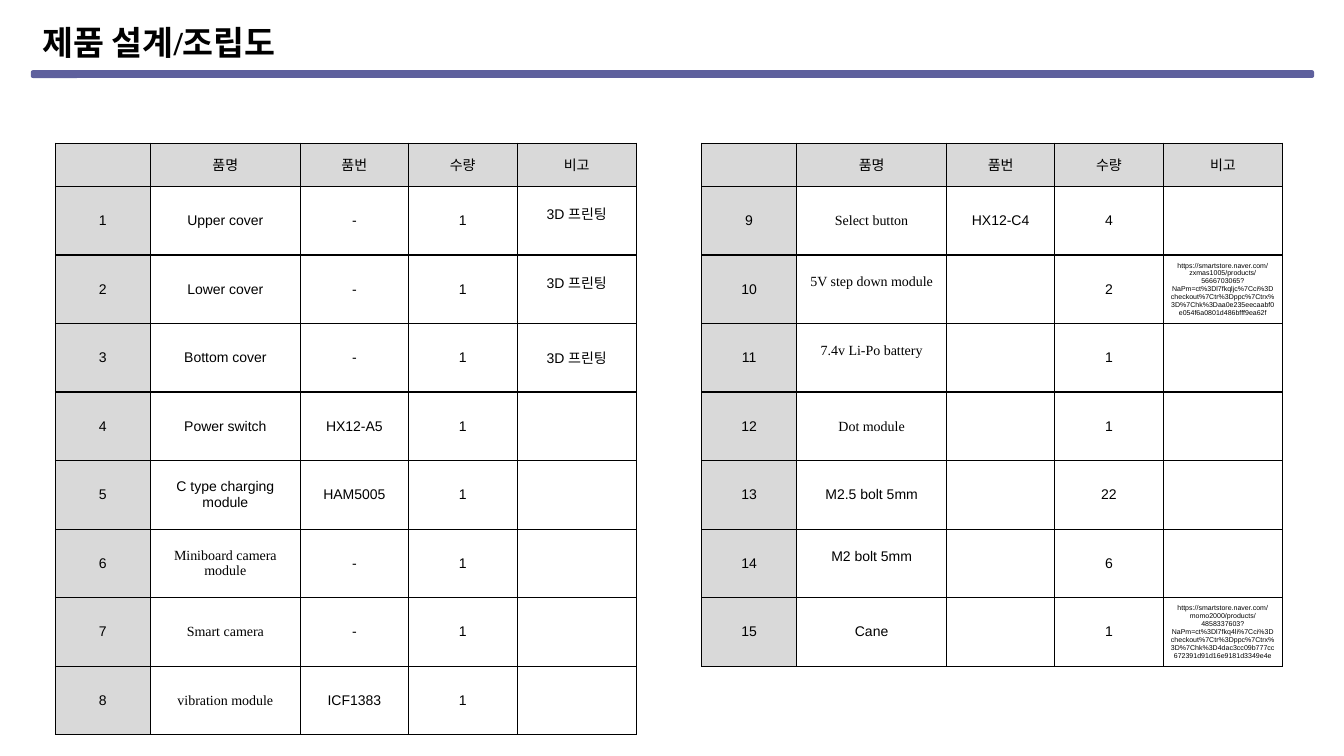
from lxml import etree
from pptx import Presentation
from pptx import util as u
from pptx.dml.color import RGBColor
from pptx.enum import shapes, text
from pptx.oxml import ns

BLACK = RGBColor(0x00, 0x00, 0x00)
GRAY = RGBColor(0xD9, 0xD9, 0xD9)
PURPLE = RGBColor(0x5E, 0x60, 0x9D)
SANS, SERIF = "Arial", "Times New Roman"

COLS = [0.94, 1.49, 1.07, 1.08, 1.18]
HEAD_H, ROW_H = 0.43, 0.68
HEAD = ["", "품명", "품번", "수량", "비고"]
PRINT = "3D 프린팅"
STORE = "https://smartstore.naver.com/"

LEFT = [
    ["1", "Upper cover", "-", "1", PRINT],
    ["2", "Lower cover", "-", "1", PRINT],
    ["3", "Bottom cover", "-", "1", PRINT],
    ["4", "Power switch", "HX12-A5", "1", ""],
    ["5", "C type charging module", "HAM5005", "1", ""],
    ["6", "Miniboard camera module", "-", "1", ""],
    ["7", "Smart camera", "-", "1", ""],
    ["8", "vibration module", "ICF1383", "1", ""],
]
RIGHT = [
    ["9", "Select button", "HX12-C4", "4", ""],
    ["10", "5V step down module", "", "2",
     STORE + "zxmas1005/products/5666703065?NaPm=ct%3Dl7fkqljc%7Cci%3Dcheckout"
     "%7Ctr%3Dppc%7Ctrx%3D%7Chk%3Daa0e235eecaabf0e054f6a0801d486bfff9ea62f"],
    ["11", "7.4v Li-Po battery", "", "1", ""],
    ["12", "Dot module", "", "1", ""],
    ["13", "M2.5 bolt 5mm", "", "22", ""],
    ["14", "M2 bolt 5mm", "", "6", ""],
    ["15", "Cane", "", "1",
     STORE + "momo2000/products/4858337603?NaPm=ct%3Dl7fkq4li%7Cci%3Dcheckout"
     "%7Ctr%3Dppc%7Ctrx%3D%7Chk%3D4dac3cc09b777cc672391d91d16e9181d3349e4e"],
]
SERIF_ROWS = {"6", "7", "8", "9", "10", "11", "12"}
RAISED = {("1", 4), ("2", 4), ("10", 1), ("11", 1), ("14", 1)}


class Deck:
    def __init__(self):
        self.prs = Presentation()
        self.prs.slide_width = u.Inches(13.33)
        self.prs.slide_height = u.Inches(7.5)
        self.slide = self.prs.slides.add_slide(self.prs.slide_layouts[6])

    def style(self, para, size, face, bold=False):
        for run in para.runs:
            run.font.size = u.Pt(size)
            run.font.name = face
            run.font.bold = bold
            run.font.color.rgb = BLACK

    def title(self, words, x, y, w, h):
        box = self.slide.shapes.add_textbox(*map(u.Inches, (x, y, w, h)))
        frame = box.text_frame
        frame.word_wrap = False
        frame.auto_size = text.MSO_AUTO_SIZE.SHAPE_TO_FIT_TEXT
        frame.text = words
        self.style(frame.paragraphs[0], 24, SERIF, True)

    def bar(self, x, y, w, h):
        bar = self.slide.shapes.add_shape(
            shapes.MSO_SHAPE.ROUNDED_RECTANGLE, *map(u.Inches, (x, y, w, h)))
        bar.shadow.inherit = False
        bar.fill.solid()
        bar.fill.fore_color.rgb = PURPLE
        bar.line.color.rgb = PURPLE
        bar.line.width = u.Pt(2)

    def border(self, cell):
        props = cell._tc.get_or_add_tcPr()
        for side in ("a:lnL", "a:lnR", "a:lnT", "a:lnB"):
            line = etree.SubElement(props, ns.qn(side), w=str(u.Pt(1)))
            fill = etree.SubElement(line, ns.qn("a:solidFill"))
            etree.SubElement(fill, ns.qn("a:srgbClr"), val=str(BLACK))

    def cell(self, cell, words, shaded, face, raised):
        cell.margin_left = cell.margin_right = u.Inches(0.07)
        cell.margin_top = u.Inches(0.04)
        cell.margin_bottom = u.Inches(0.18 if raised else 0.04)
        cell.vertical_anchor = text.MSO_ANCHOR.MIDDLE
        self.border(cell)
        if shaded:
            cell.fill.solid()
            cell.fill.fore_color.rgb = GRAY
        else:
            cell.fill.background()
        if words:
            cell.text_frame.text = words
            para = cell.text_frame.paragraphs[0]
            para.alignment = text.PP_ALIGN.CENTER
            self.style(para, 5 if words.startswith(STORE) else 10, face)

    def table(self, parts, x, y):
        rows = [HEAD] + parts
        high = HEAD_H + ROW_H * len(parts)
        area = map(u.Inches, (x, y, sum(COLS), high))
        table = self.slide.shapes.add_table(len(rows), len(COLS), *area).table
        table.first_row = table.horz_banding = False
        for col, width in zip(table.columns, COLS):
            col.width = u.Inches(width)
        for r, row in enumerate(rows):
            table.rows[r].height = u.Inches(ROW_H if r else HEAD_H)
            for c, words in enumerate(row):
                serif = c == 1 and row[0] in SERIF_ROWS
                self.cell(table.cell(r, c), words, r == 0 or c == 0,
                          SERIF if serif else SANS, (row[0], c) in RAISED)


def main():
    deck = Deck()
    deck.title("제품 설계/조립도", 0.32, 0.17, 2.82, 0.5)
    deck.bar(0.32, 0.71, 12.7, 0.05)
    deck.table(LEFT, 0.55, 1.42)
    deck.table(RIGHT, 6.96, 1.42)
    deck.prs.save("out.pptx")


if __name__ == "__main__":
    main()
